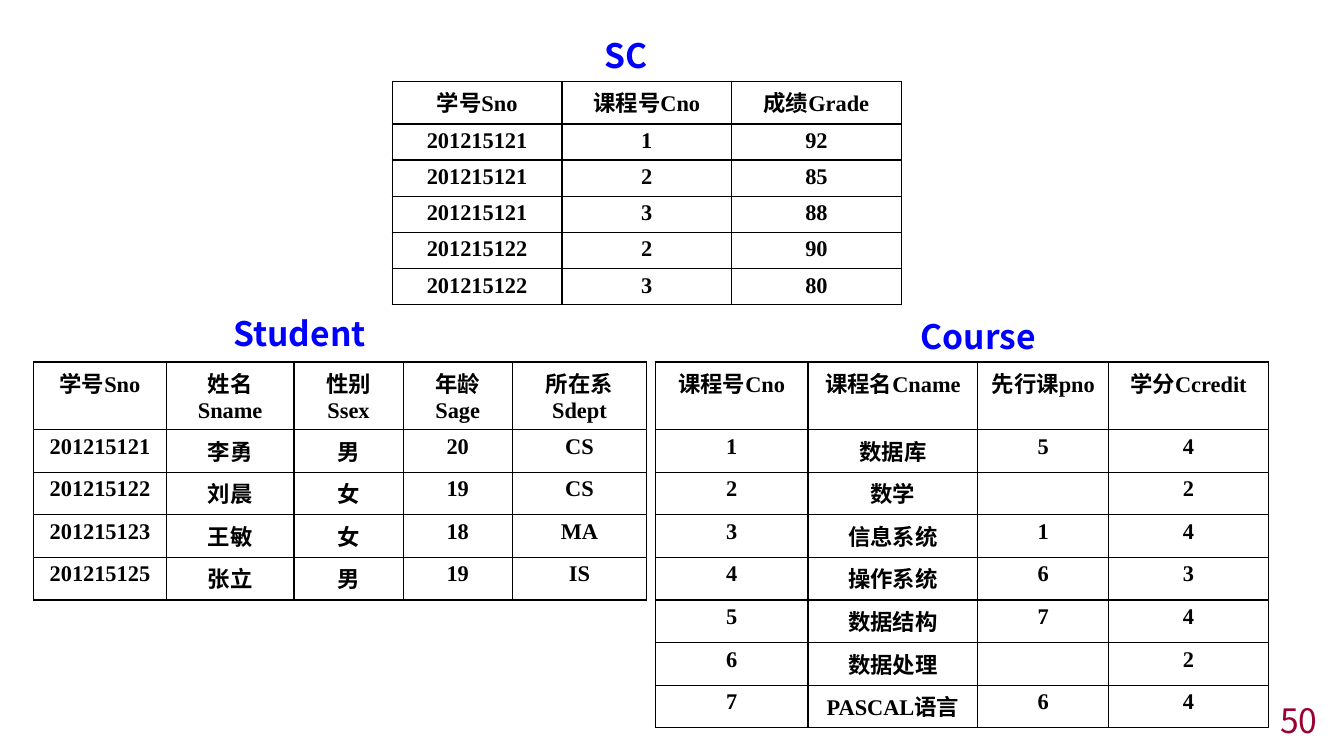
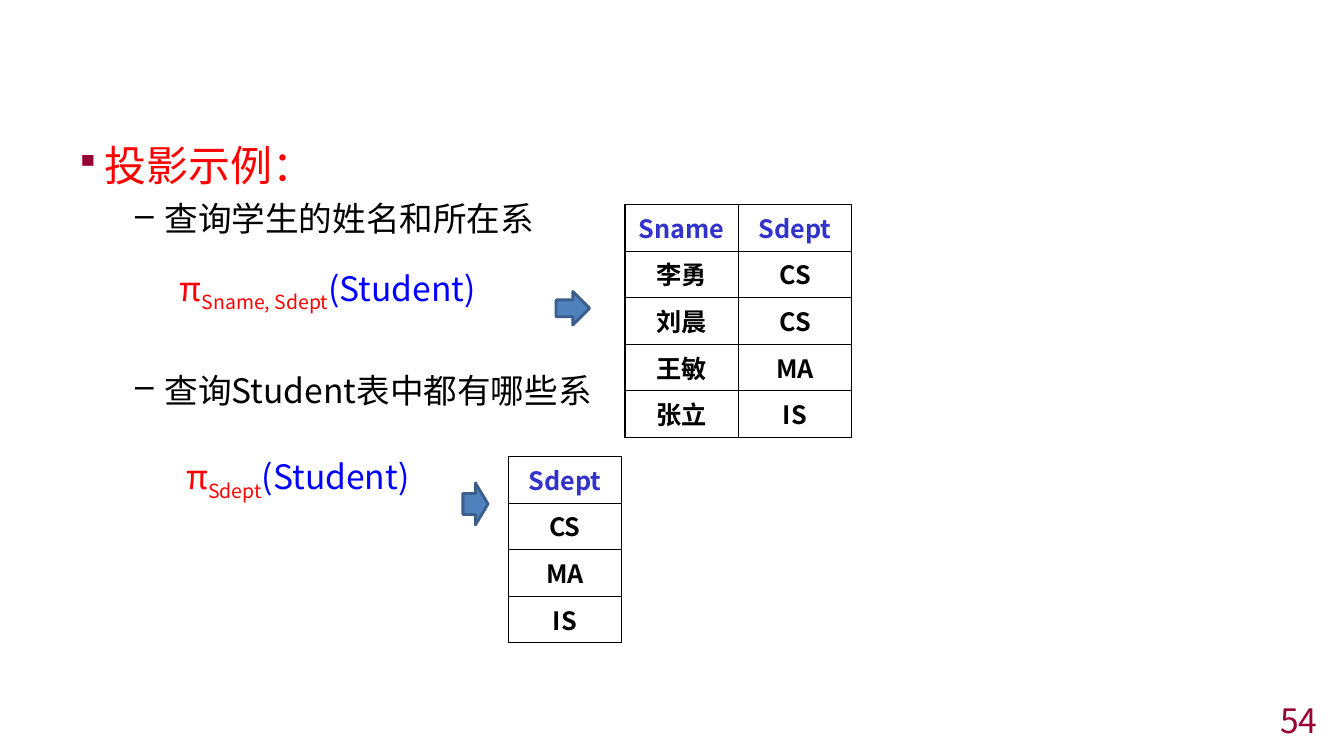
from lxml.etree import SubElement
from pptx import Presentation
from pptx.dml.color import RGBColor
from pptx.enum.shapes import MSO_SHAPE as Shape
from pptx.enum.text import MSO_ANCHOR as Anchor, PP_ALIGN as Align
from pptx.oxml.ns import qn
from pptx.util import Inches, Pt

COLORS = {
    "black": "000000", "red": "FF0000", "blue": "0000FF", "maroon": "990033",
    "heading": "3333CC", "arrow": "4F81BD", "arrow edge": "3A5F8C",
}
SANS, SERIF = "Noto Sans CJK SC", "Times New Roman"

presentation = Presentation()
presentation.slide_width, presentation.slide_height = Inches(13.33), Inches(7.5)
# The layout grid has 160 columns and 90 rows
COLUMN = presentation.slide_width / 160
ROW = presentation.slide_height / 90


def area(left, top, width, height):
    """Turn grid columns and rows into lengths on the slide."""
    return [round(left * COLUMN), round(top * ROW), round(width * COLUMN), round(height * ROW)]


def write(paragraph, text, size=24, color="black", bold=False, font=SANS, baseline=0):
    """Append one formatted run to a paragraph."""
    run = paragraph.add_run()
    run.text = text
    run.font.size, run.font.bold, run.font.name = Pt(size), bold, font
    run.font.color.rgb = RGBColor.from_string(COLORS[color])
    properties = run.font._element
    SubElement(properties, qn("a:ea"), typeface=SANS)
    if baseline:
        properties.set("baseline", str(baseline * 1000))


blank = presentation.slide_layouts[6]
relations, projection = [presentation.slides.add_slide(blank) for _ in range(2)]

# Table names and slide numbers
name_style = {"color": "blue", "bold": True}
number_style = {"color": "maroon"}
number_area = (124, 83.88, 34, 3.72)
labels = [
    (relations, "SC", (70.8, 3.6, 9, 6), name_style),
    (relations, "Student", (26.6, 36.7, 19, 6), name_style),
    (relations, "Course", (108.4, 37, 17, 6), name_style),
    (relations, "50", number_area, number_style),
    (projection, "54", number_area, number_style),
]
for slide, text, place, style in labels:
    frame = slide.shapes.add_textbox(*area(*place)).text_frame
    frame.word_wrap = True
    if style is number_style:
        frame.vertical_anchor = Anchor.MIDDLE
        frame.paragraphs[0].alignment = Align.RIGHT
    write(frame.paragraphs[0], text, **style)

# Projection examples: bullet, indent in columns, space before, text runs
examples = [
    ("▪", 3.5, 0, [("投影示例：", {"size": 30, "color": "red"})]),
    ("–", 10.6, 6, [("查询学生的姓名和所在系", {})]),
    (None, 12.4, 21, [("π", {"color": "red"}),
                      ("Sname, Sdept", {"color": "red", "baseline": -25}),
                      ("(Student)", {"color": "blue"})]),
    ("–", 10.6, 40, [("查询Student表中都有哪些系", {})]),
    (None, 13.2, 33, [("π", {"color": "red"}),
                      ("Sdept", {"color": "red", "baseline": -25}),
                      ("(Student)", {"color": "blue"})]),
]
frame = projection.shapes.add_textbox(*area(7.8, 16, 142.2, 69.7)).text_frame
frame.word_wrap = True
for index, (bullet, indent, space, runs) in enumerate(examples):
    paragraph = frame.add_paragraph() if index else frame.paragraphs[0]
    properties = paragraph._p.get_or_add_pPr()
    properties.set("marL", str(round(indent * COLUMN)))
    properties.set("indent", str(round(-3.5 * COLUMN) if bullet else 0))
    if bullet == "▪":
        SubElement(SubElement(properties, qn("a:buClr")), qn("a:srgbClr"), val=COLORS["maroon"])
        SubElement(properties, qn("a:buSzPct"), val="80000")
    if bullet:
        SubElement(properties, qn("a:buChar"), char=bullet)
    else:
        SubElement(properties, qn("a:buNone"))
    if space:
        paragraph.space_before = Pt(space)
    for text, style in runs:
        write(paragraph, text, **style)

# Tables: slide, left, top, column widths, header height, row height, styles, rows
serif = {"size": 16, "bold": True, "font": SERIF}
sans = {"size": 18, "bold": True}
sans_header = {**sans, "color": "heading"}
tables = [
    (relations, 4, 43.1, [15.8, 15.2, 13, 13, 16], 8.05, 5.07, serif, serif, [
        ["学号Sno", "姓名Sname", "性别Ssex", "年龄Sage", "所在系Sdept"],
        ["201215121", "李勇", "男", "20", "CS"],
        ["201215122", "刘晨", "女", "19", "CS"],
        ["201215123", "王敏", "女", "18", "MA"],
        ["201215125", "张立", "男", "19", "IS"],
    ]),
    (relations, 78, 43.1, [18.2, 20.2, 15.6, 19], 8.05, 5.07, serif, serif, [
        ["课程号Cno", "课程名Cname", "先行课pno", "学分Ccredit"],
        ["1", "数据库", "5", "4"],
        ["2", "数学", "", "2"],
        ["3", "信息系统", "1", "4"],
        ["4", "操作系统", "6", "3"],
        ["5", "数据结构", "7", "4"],
        ["6", "数据处理", "", "2"],
        ["7", "PASCAL语言", "6", "4"],
    ]),
    (relations, 46.7, 9.7, [20.2] * 3, 5.06, 4.17, serif, serif, [
        ["学号Sno", "课程号Cno", "成绩Grade"],
        ["201215121", "1", "92"],
        ["201215121", "2", "85"],
        ["201215121", "3", "88"],
        ["201215122", "2", "90"],
        ["201215122", "3", "80"],
    ]),
    (projection, 74.4, 24.35, [13.5] * 2, 5.55, 5.55, sans_header, sans, [
        ["Sname", "Sdept"],
        ["李勇", "CS"],
        ["刘晨", "CS"],
        ["王敏", "MA"],
        ["张立", "IS"],
    ]),
    (projection, 60.5, 54.35, [13.5], 5.55, 5.55, sans_header, sans,
     [["Sdept"], ["CS"], ["MA"], ["IS"]]),
]
for slide, left, top, widths, header, height, header_style, body_style, rows in tables:
    heights = [header] + [height] * (len(rows) - 1)
    place = area(left, top, sum(widths), sum(heights))
    table = slide.shapes.add_table(len(rows), len(widths), *place).table
    table.first_row = table.horz_banding = False
    for column, width in zip(table.columns, widths):
        column.width = round(width * COLUMN)
    for row_index, texts in enumerate(rows):
        table.rows[row_index].height = round(heights[row_index] * ROW)
        for column_index, text in enumerate(texts):
            cell = table.cell(row_index, column_index)
            cell.margin_left = cell.margin_right = Inches(0.13)
            cell.margin_top = cell.margin_bottom = Pt(3.3)
            properties = cell._tc.get_or_add_tcPr()
            for side in ("a:lnL", "a:lnR", "a:lnT", "a:lnB"):
                border = SubElement(properties, qn(side), w=str(Pt(1)))
                fill = SubElement(border, qn("a:solidFill"))
                SubElement(fill, qn("a:srgbClr"), val=COLORS["black"])
            cell.fill.background()
            paragraph = cell.text_frame.paragraphs[0]
            paragraph.alignment = Align.CENTER
            write(paragraph, text, **(body_style if row_index else header_style))

# Arrows from each expression to its result
for place in [(66.2, 34.7, 4, 4), (55.1, 57.5, 3, 5)]:
    arrow = projection.shapes.add_shape(Shape.RIGHT_ARROW, *area(*place))
    arrow.shadow.inherit = False
    arrow.fill.solid()
    arrow.fill.fore_color.rgb = RGBColor.from_string(COLORS["arrow"])
    arrow.line.color.rgb = RGBColor.from_string(COLORS["arrow edge"])
    arrow.line.width = Pt(2)

presentation.save("out.pptx")
